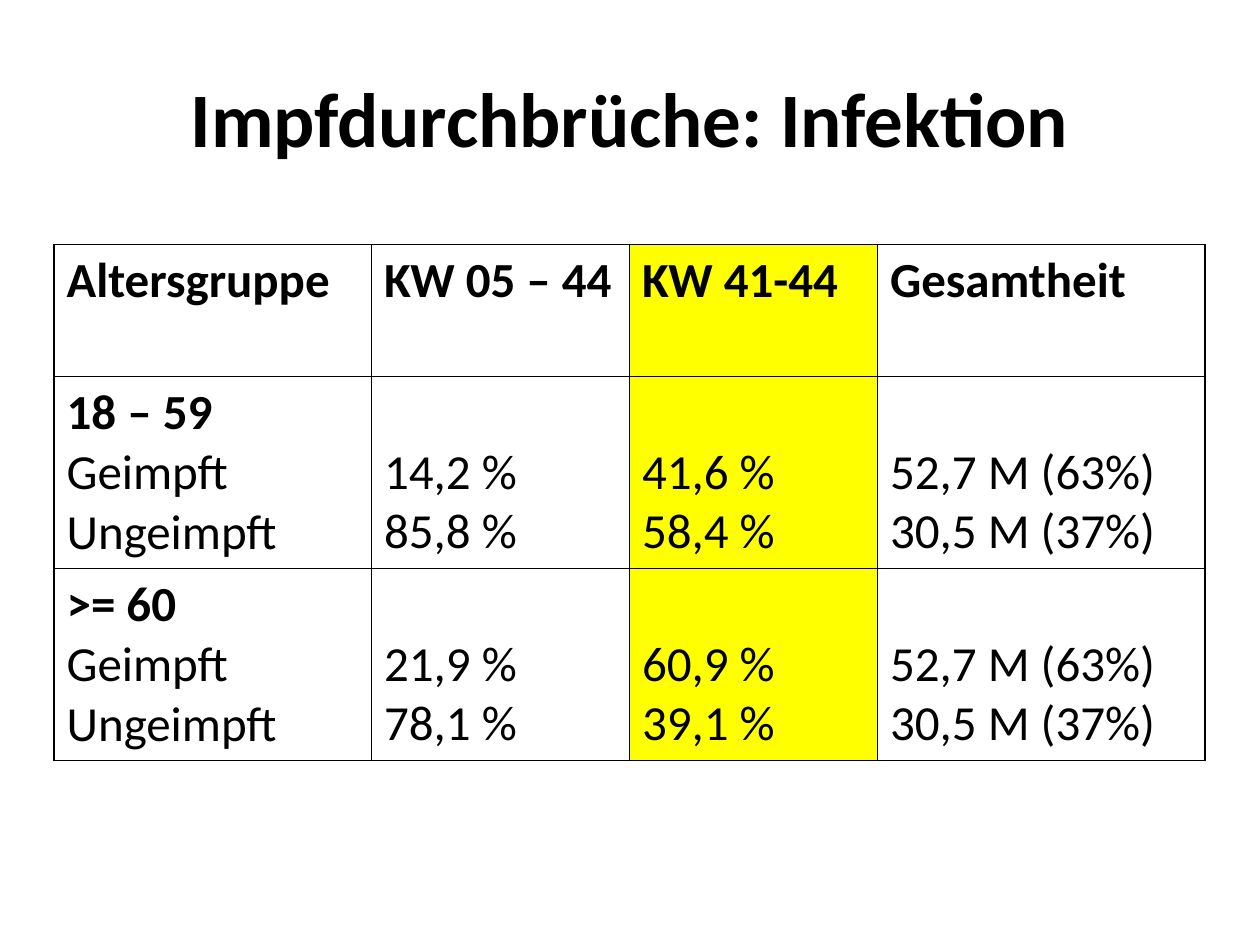
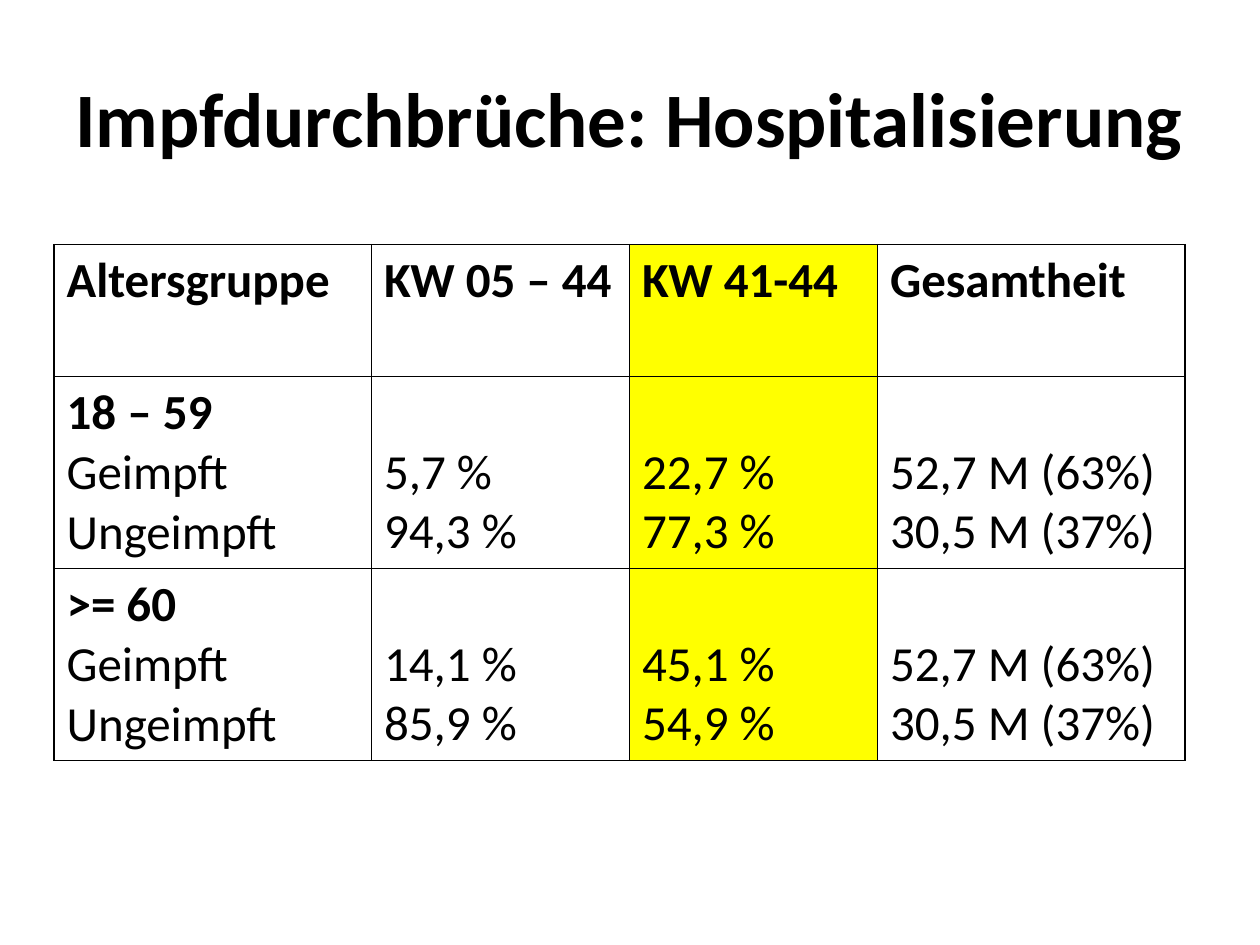
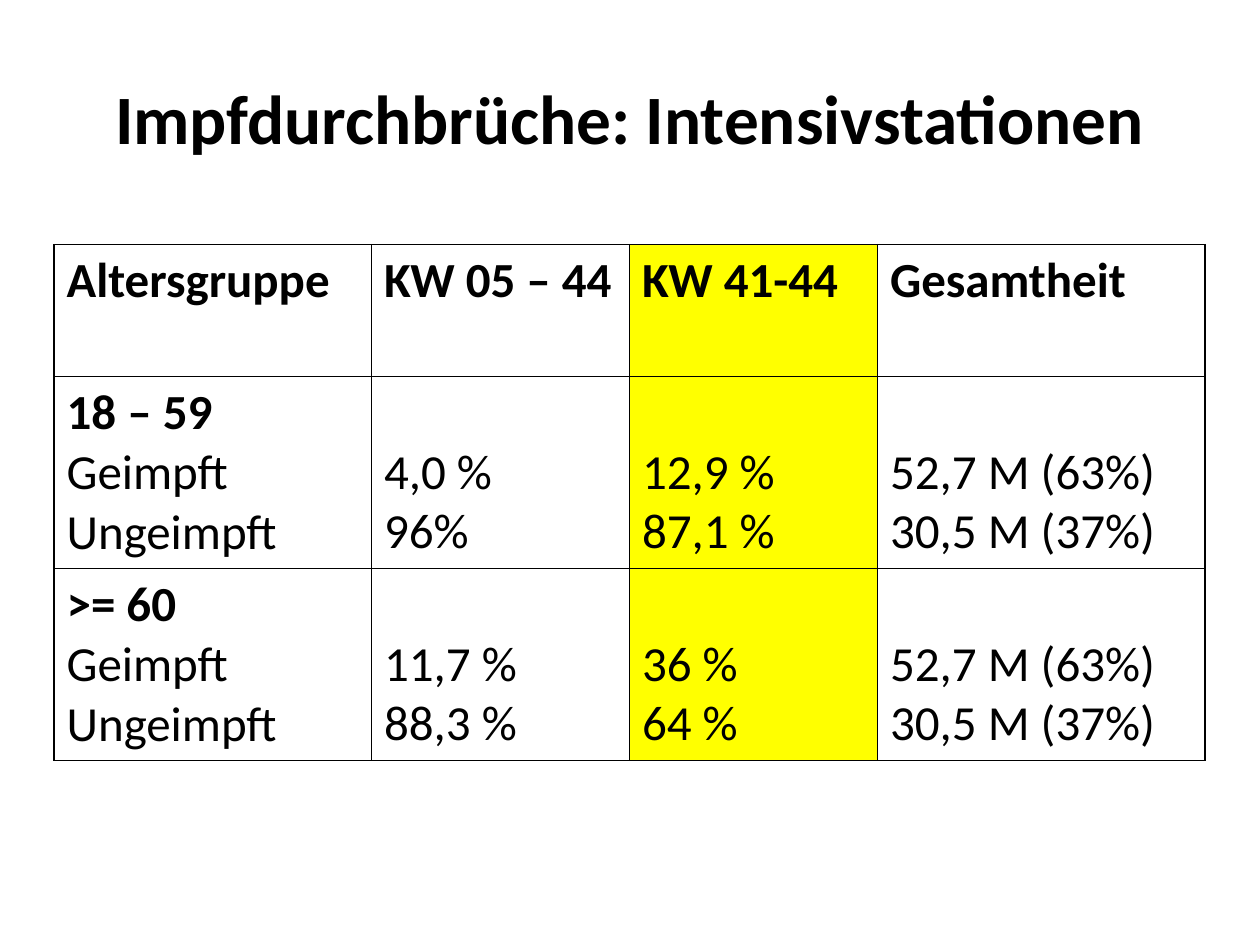
from lxml.etree import SubElement
from pptx import Presentation
from pptx.dml.color import RGBColor
from pptx.enum.text import MSO_ANCHOR as Anchor, PP_ALIGN as Align
from pptx.oxml.ns import qn
from pptx.util import Cm, Pt

FONT = "Calibri"
BLACK = "000000"
YELLOW = "FFFF00"
TITLE_BOX = (1.27, 0.76, 22.86, 3.18)
TABLE_CORNER = (1.09, 4.93)
HEADER_HEIGHT, GROUP_HEIGHT = 2.66, 3.87
PERIOD_WIDTHS = [6.4, 5.2, 5.0]
HEADINGS = ["Altersgruppe", "KW 05 – 44", "KW 41-44", "Gesamtheit"]
HIGHLIGHTED = HEADINGS.index("KW 41-44")
AGE_GROUPS = ["18 – 59", ">= 60"]
STATUSES = ["Geimpft", "Ungeimpft"]
POPULATION = ["52,7 M (63%)", "30,5 M (37%)"]

# Shares per age group: (KW 05 – 44, KW 41-44), each vaccinated then unvaccinated
SLIDES = [
    dict(title="Impfdurchbrüche: Infektion", title_size=44, total_width=6.6,
         shares=[(["14,2 %", "85,8 %"], ["41,6 %", "58,4 %"]),
                 (["21,9 %", "78,1 %"], ["60,9 %", "39,1 %"])]),
    dict(title="Impfdurchbrüche: Hospitalisierung", title_size=44, total_width=6.2,
         shares=[(["5,7 %", "94,3 %"], ["22,7 %", "77,3 %"]),
                 (["14,1 %", "85,9 %"], ["45,1 %", "54,9 %"])]),
    dict(title="Impfdurchbrüche: Intensivstationen", title_size=39.6, total_width=6.6,
         shares=[(["4,0 %", "96%"], ["12,9 %", "87,1 %"]),
                 (["11,7 %", "88,3 %"], ["36 %", "64 %"])]),
]


def color(hex_code):
    return RGBColor.from_string(hex_code)


def write(frame, lines, size=28, bold_lines=0, align=Align.LEFT):
    """Fill the frame with one paragraph per line; the first bold_lines are bold."""
    frame.word_wrap = True
    for index, line in enumerate(lines):
        paragraph = frame.add_paragraph() if index else frame.paragraphs[0]
        paragraph.alignment = align
        run = paragraph.add_run()
        run.text = line
        run.font.name = FONT
        run.font.size = Pt(size)
        run.font.bold = index < bold_lines
        run.font.color.rgb = color(BLACK)


def add_borders(cell, width=1):
    properties = cell._tc.get_or_add_tcPr()
    for side in ("lnL", "lnR", "lnT", "lnB"):
        border = SubElement(properties, qn(f"a:{side}"), w=str(Pt(width)))
        SubElement(SubElement(border, qn("a:solidFill")), qn("a:srgbClr"), val=BLACK)


def add_title(slide, box, title, size):
    heading = slide.shapes.add_textbox(*map(Cm, box)).text_frame
    heading.vertical_anchor = Anchor.MIDDLE
    write(heading, [title], size=size, bold_lines=1, align=Align.CENTER)


def add_share_table(slide, corner, widths, shares):
    heights = [HEADER_HEIGHT] + [GROUP_HEIGHT] * len(AGE_GROUPS)
    box = (*corner, sum(widths), sum(heights))
    table = slide.shapes.add_table(len(heights), len(widths), *map(Cm, box)).table
    table.first_row = table.horz_banding = False
    for column, width in zip(table.columns, widths):
        column.width = Cm(width)
    for row, height in zip(table.rows, heights):
        row.height = Cm(height)

    contents = [[[heading] for heading in HEADINGS]]
    for age_group, periods in zip(AGE_GROUPS, shares):
        contents.append([[age_group, *STATUSES], *periods, POPULATION])

    for r, row in enumerate(contents):
        for c, lines in enumerate(row):
            cell = table.cell(r, c)
            is_value = r > 0 and c > 0
            write(cell.text_frame, lines, bold_lines=0 if is_value else 1)
            # Bottom anchoring lines the values up with their status labels
            cell.vertical_anchor = Anchor.BOTTOM if is_value else Anchor.TOP
            add_borders(cell)
            if c == HIGHLIGHTED:
                cell.fill.solid()
                cell.fill.fore_color.rgb = color(YELLOW)
            else:
                cell.fill.background()


def main():
    deck = Presentation()
    deck.slide_width, deck.slide_height = Cm(25.4), Cm(19.05)
    blank = deck.slide_layouts[6]
    for content in SLIDES:
        slide = deck.slides.add_slide(blank)
        add_title(slide, TITLE_BOX, content["title"], content["title_size"])
        widths = PERIOD_WIDTHS + [content["total_width"]]
        add_share_table(slide, TABLE_CORNER, widths, content["shares"])
    deck.save("out.pptx")


if __name__ == "__main__":
    main()
